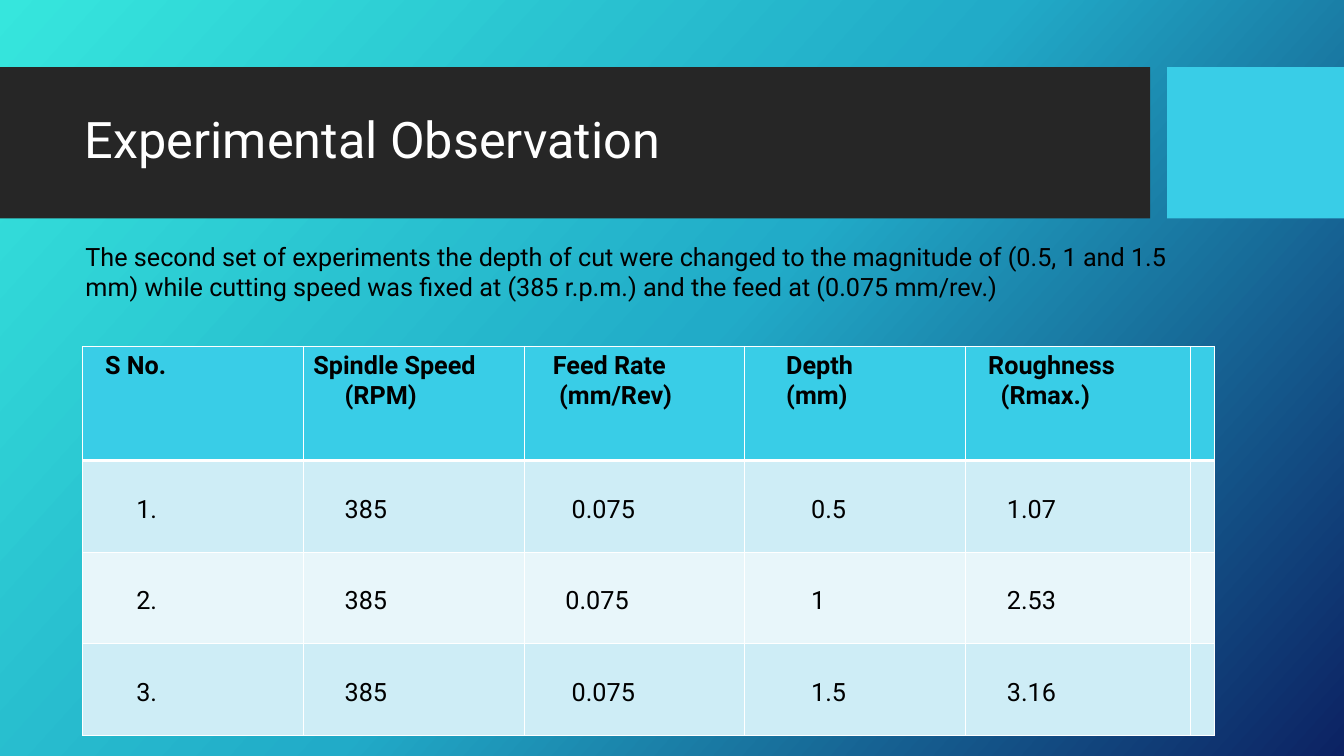
from pptx import Presentation
from pptx.util import Pt
from pptx.dml.color import RGBColor
from pptx.enum.shapes import MSO_SHAPE
from pptx.enum.text import MSO_ANCHOR, PP_ALIGN
from pptx.oxml import parse_xml
from pptx.oxml.ns import nsdecls, qn
from copy import deepcopy

COLORS = {
    "aqua": "36E6DD", "teal": "21ABC8", "navy": "0C2263",
    "dark": "262626", "cyan": "39CDE7", "white": "FFFFFF",
    "black": "000000", "band": "CEEDF6", "pale": "E8F6FA",
}
SPACE = 4.46  # width of one indent step

# Each cell is a list of (text, indent steps)
HEAD = [
    [("S No.", 2)],
    [("Spindle Speed", 0), ("(RPM)", 5)],
    [("Feed Rate", 3), ("(mm/Rev)", 4)],
    [("Depth", 5), ("(mm)", 5)],
    [("Roughness", 2), ("(Rmax.)", 4)],
    [],
]
ROWS = [
    [[("1.", 7)], [("385", 5)], [("0.075", 6)], [("0.5", 9)], [("1.07", 5)], []],
    [[("2.", 7)], [("385", 5)], [("0.075", 5)], [("1", 9)], [("2.53", 5)], []],
    [[("3.", 7)], [("385", 5)], [("0.075", 6)], [("1.5", 9)], [("3.16", 5)], []],
]


def rgb(name):
    return RGBColor.from_string(COLORS[name])


def write(para, text, size=18, color="black", bold=False, indent=0, lead=None):
    if indent:
        para._p.get_or_add_pPr().set("marL", str(Pt(indent)))
    para.alignment = PP_ALIGN.LEFT
    if lead:
        para.line_spacing = lead
    run = para.add_run()
    run.text = text
    font = run.font
    font.name, font.size, font.bold = "Roboto", Pt(size), bold
    font.color.rgb = rgb(color)


class Deck:
    def __init__(self):
        self.prs = Presentation()
        self.prs.slide_width, self.prs.slide_height = Pt(960), Pt(540)
        self.slide = self.prs.slides.add_slide(self.prs.slide_layouts[5])

    def backdrop(self, names, angle):
        fill = self.slide.background.fill
        fill.gradient()
        fill.gradient_angle = 360 - angle
        stops = self.slide.element.find(".//" + qn("a:gsLst"))
        stops.append(deepcopy(stops[0]))
        for i, (stop, name) in enumerate(zip(fill.gradient_stops, names)):
            stop.color.rgb = rgb(name)
            stop.position = i / (len(names) - 1)

    def bar(self, left, top, width, height, color):
        shape = self.slide.shapes.add_shape(
            MSO_SHAPE.RECTANGLE, Pt(left), Pt(top), Pt(width), Pt(height))
        shape.shadow.inherit = False
        shape.fill.solid()
        shape.fill.fore_color.rgb = rgb(color)
        shape.line.fill.background()
        # Keep the bars behind the title
        self.slide.shapes.title.element.addprevious(shape.element)

    def title(self, text, left, top, width, height):
        box = self.slide.shapes.title
        box.left, box.top, box.width, box.height = map(Pt, (left, top, width, height))
        frame = box.text_frame
        frame.vertical_anchor = MSO_ANCHOR.MIDDLE
        write(frame.paragraphs[0], text, size=36, color="white", lead=0.9)

    def text(self, text, left, top, width, height):
        box = self.slide.shapes.add_textbox(Pt(left), Pt(top), Pt(width), Pt(height))
        box.text_frame.word_wrap = True
        write(box.text_frame.paragraphs[0], text)

    def cell(self, cell, lines, fill, bold, above, edges):
        cell.margin_top = Pt(above)
        cell.fill.solid()
        cell.fill.fore_color.rgb = rgb(fill)
        frame = cell.text_frame
        for i, (text, steps) in enumerate(lines):
            para = frame.add_paragraph() if i else frame.paragraphs[0]
            write(para, text, bold=bold, indent=steps * SPACE)
        props = cell._tc.get_or_add_tcPr()
        for i, (side, width) in enumerate(edges.items()):
            props.insert(i, parse_xml(
                f'<a:ln{side} {nsdecls("a")} w="{Pt(width)}"><a:solidFill>'
                f'<a:srgbClr val="{COLORS["white"]}"/></a:solidFill></a:ln{side}>'))

    def table(self, rows, left, top, widths, heights):
        table = self.slide.shapes.add_table(
            len(rows), len(widths), Pt(left), Pt(top),
            Pt(sum(widths)), Pt(sum(heights))).table
        table.horz_banding = False
        for col, width in zip(table.columns, widths):
            col.width = Pt(width)
        for r, row in enumerate(rows):
            table.rows[r].height = Pt(heights[r])
            head = r == 0
            fill = "cyan" if head else ("pale", "band")[r % 2]
            edges = {"L": 1, "R": 1, "T": 3 if r == 1 else 1, "B": 3 if head else 1}
            for c, lines in enumerate(row):
                self.cell(table.cell(r, c), lines, fill, head,
                          3.6 if head else 24.7, edges)


def main():
    deck = Deck()

    # Background and title band
    deck.backdrop(["aqua", "teal", "navy"], 42)
    deck.bar(0, 48, 821.5, 108, "dark")
    deck.bar(833.75, 48, 126.25, 108, "cyan")
    deck.title("Experimental Observation", 53.5, 59, 756.5, 85)

    # Measurements
    deck.table([HEAD] + ROWS, 59, 247.5,
               [157.7] * 4 + [160.4, 16.6], [81.4] + [65.5] * 3)

    # Introduction
    deck.text("The second set of experiments the depth of cut were changed to the "
              "magnitude of (0.5, 1 and 1.5 mm) while cutting speed was fixed at "
              "(385 r.p.m.) and the feed at (0.075 mm/rev.)", 54, 168.5, 813.5, 51)

    deck.prs.save("out.pptx")


if __name__ == "__main__":
    main()
